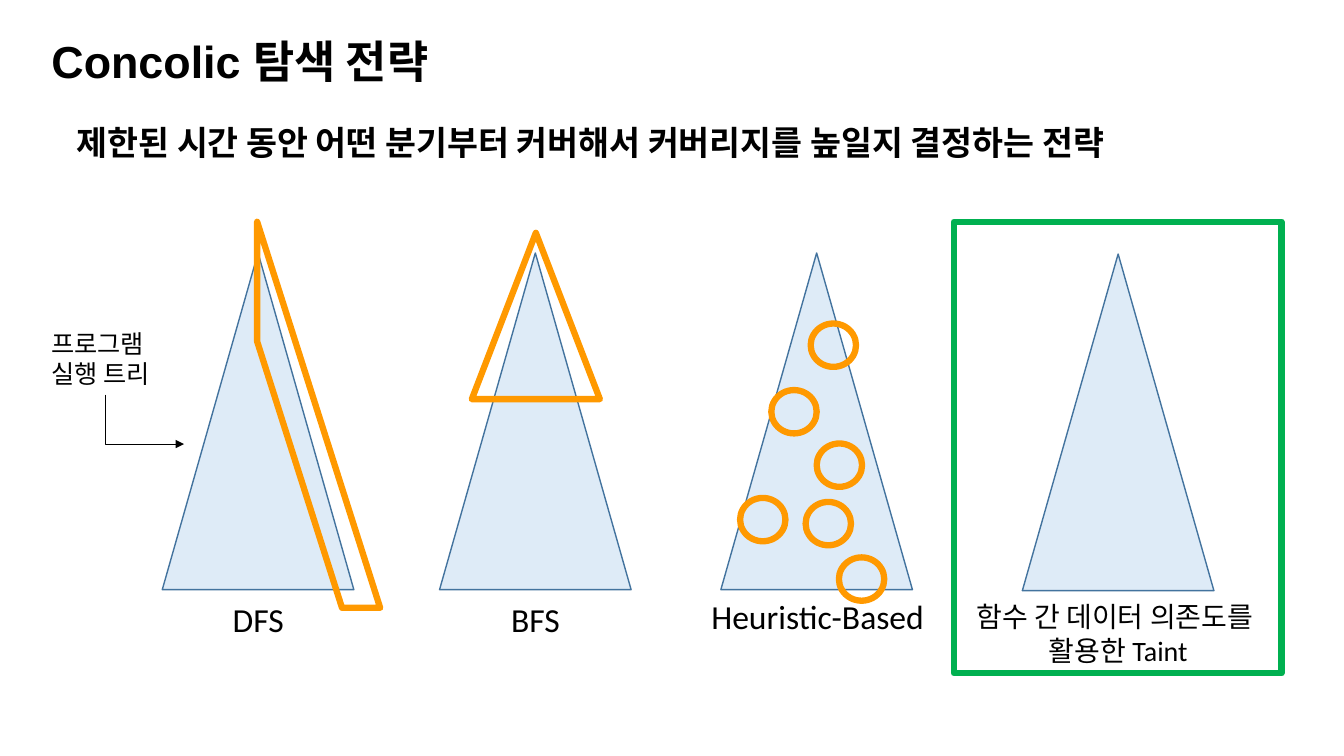
from lxml.etree import SubElement
from pptx import Presentation
from pptx.dml.color import RGBColor
from pptx.enum.shapes import MSO_CONNECTOR as CONN, MSO_SHAPE as SHAPE
from pptx.enum.text import MSO_ANCHOR as ANCHOR, MSO_AUTO_SIZE as AUTO, PP_ALIGN as ALIGN
from pptx.oxml.ns import qn
from pptx.util import Inches, Pt

TITLE = "Concolic 탐색 전략"
SUBTITLE = "제한된 시간 동안 어떤 분기부터 커버해서 커버리지를 높일지 결정하는 전략"
TREE_NOTE = ["프로그램", "실행 트리"]
STRATEGIES = [
    (1.61, 2.51, ["DFS"], (2.21, 5.89, 0.71, 0.5), 24, ALIGN.LEFT),
    (4.36, 2.51, ["BFS"], (4.97, 5.89, 0.69, 0.5), 24, ALIGN.LEFT),
    (7.15, 2.51, ["Heuristic-Based"], (6.94, 5.86, 2.34, 0.5), 24, ALIGN.CENTER),
    (10.14, 2.52, ["함수 간 데이터 의존도를 \v활용한 Taint"],
     (9.46, 5.9, 3.26, 0.77), 20, ALIGN.CENTER),
]
TREE_SIZE = (1.9, 3.34)
PICKS = [(7.65, 3.87), (8.04, 3.21), (8.1, 4.4), (7.99, 4.98), (7.34, 4.94), (8.32, 5.53)]
PICK_SIZE = (0.45, 0.43)
ORANGE, GREEN, BLACK = "FF9900", "00B050", "000000"
KOREAN = "Noto Sans CJK KR"


def color(value):
    return RGBColor.from_string(value)


def place(sp, box):
    for name, value in zip(("left", "top", "width", "height"), box):
        setattr(sp, name, Inches(value))


def write(sp, lines, size, font="Calibri", bold=False, align=ALIGN.LEFT, wrap=False,
          anchor=ANCHOR.TOP, spacing=1.0):
    tf = sp.text_frame
    for name, value in dict(word_wrap=wrap, auto_size=AUTO.NONE, vertical_anchor=anchor).items():
        setattr(tf, name, value)
    for i, line in enumerate(lines):
        p = tf.paragraphs[0] if i == 0 else tf.add_paragraph()
        p.text = line
        for name, value in dict(alignment=align, line_spacing=spacing, space_before=Pt(0)).items():
            setattr(p, name, value)
        for r in p.runs:
            for name, value in dict(size=Pt(size), name=font, bold=bold).items():
                setattr(r.font, name, value)
            r.font.color.rgb = color(BLACK)
            SubElement(r.font._element, qn("a:ea")).set("typeface", KOREAN)


def add_text(s, box, lines, size, **style):
    write(s.shapes.add_textbox(*map(Inches, box)), lines, size, **style)


def add_outline(s, kind, box, line, width=4.5, fill=None):
    sp = s.shapes.add_shape(kind, *map(Inches, box))
    sp.shadow.inherit = False
    if fill:
        sp.fill.solid()
        sp.fill.fore_color.rgb = color(fill)
    else:
        sp.fill.background()
    sp.line.color.rgb = color(line)
    sp.line.width = Pt(width)
    return sp


def add_bent_arrow(s, left, top, width, height):
    arrow = s.shapes.add_connector(
        CONN.ELBOW, *map(Inches, (left, top, left + width, top + height)))
    arrow.line.color.rgb = color(BLACK)
    arrow.line.width = Pt(0.5)
    spPr = arrow._element.spPr
    spPr.find(qn("a:prstGeom")).set("prst", "bentConnector2")
    xfrm = spPr.find(qn("a:xfrm"))
    xfrm.set("rot", str(270 * 60000))
    xfrm.set("flipH", "1")
    SubElement(spPr.find(qn("a:ln")), qn("a:tailEnd")).set("type", "triangle")
    SubElement(spPr, qn("a:effectLst"))


def main():
    prs = Presentation()
    prs.slide_width, prs.slide_height = Inches(13.33), Inches(7.5)
    s = prs.slides.add_slide(prs.slide_layouts[1])

    title, body = s.placeholders
    place(title, (0.41, 0.38, 12.92, 0.45))
    write(title, [TITLE], 32, font="Arial", bold=True, wrap=True, anchor=ANCHOR.MIDDLE)
    place(body, (0.66, 0.96, 12.05, 0.63))
    pPr = body.text_frame.paragraphs[0]._p.get_or_add_pPr()
    pPr.set("marL", "0")
    pPr.set("indent", "0")
    SubElement(pPr, qn("a:buNone"))
    write(body, [SUBTITLE], 24, font=KOREAN, bold=True, wrap=True, spacing=1.5)

    for left, top, label, box, size, align in STRATEGIES:
        add_outline(s, SHAPE.ISOSCELES_TRIANGLE, (left, top, *TREE_SIZE), "43739E", 1, "DEEBF7")
        add_text(s, box, label, size, align=align)

    stripe = add_outline(s, SHAPE.DIAGONAL_STRIPE, (2.55, 2.2, 1.22, 3.83), ORANGE)
    stripe.adjustments[0] = 0.69
    stripe.rotation = 180
    stripe._element.spPr.find(qn("a:xfrm")).set("flipH", "1")
    add_outline(s, SHAPE.ISOSCELES_TRIANGLE, (4.68, 2.31, 1.27, 1.65), ORANGE)
    for pick in PICKS:
        add_outline(s, SHAPE.FLOWCHART_CONNECTOR, (*pick, *PICK_SIZE), ORANGE)

    add_text(s, (0.41, 3.21, 1.27, 0.71), TREE_NOTE, 18)
    add_bent_arrow(s, 1.19, 3.77, 0.49, 0.78)
    add_outline(s, SHAPE.RECTANGLE, (9.46, 2.2, 3.25, 4.48), GREEN)
    prs.save("out.pptx")


if __name__ == "__main__":
    main()
